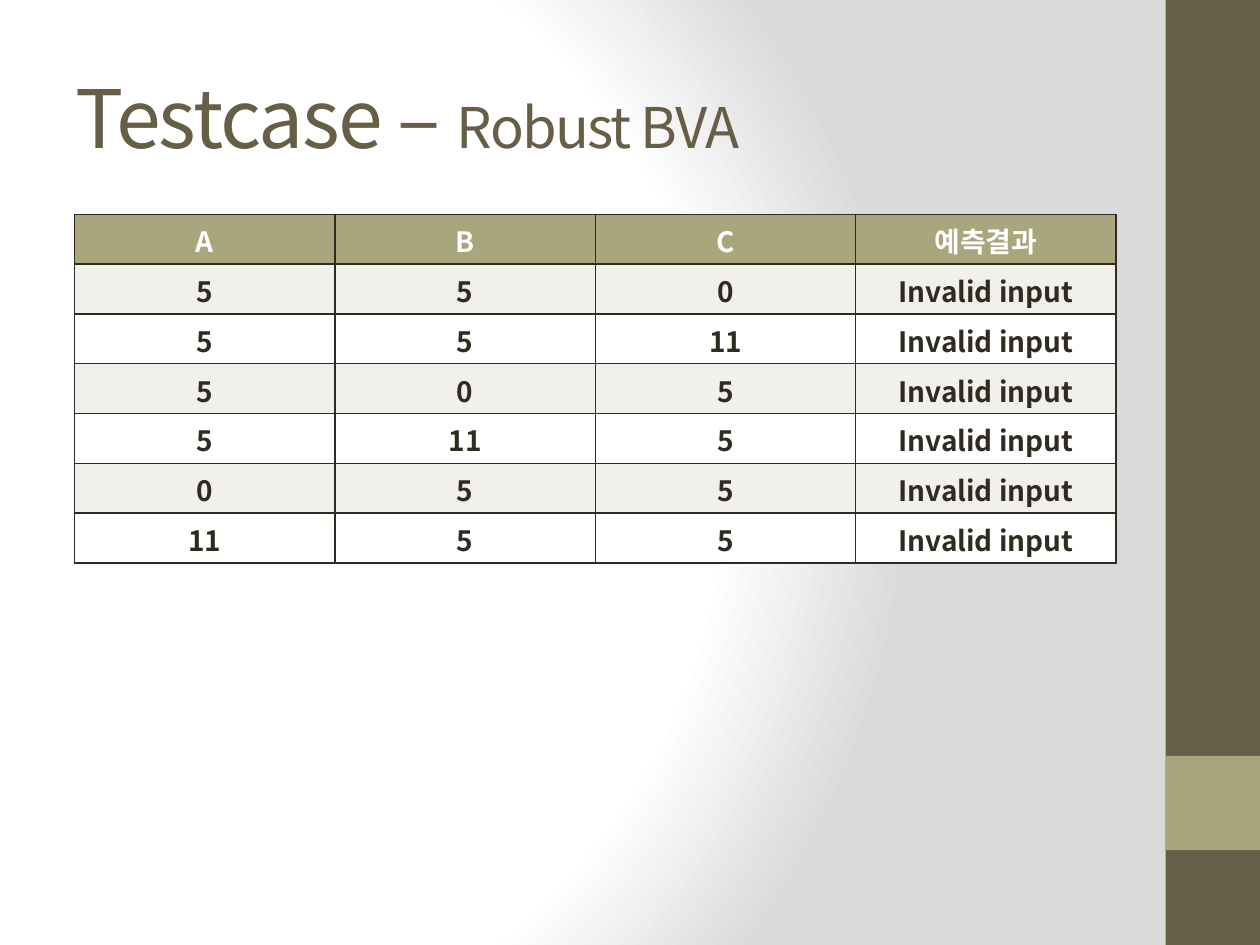
from lxml.etree import SubElement
from pptx import Presentation
from pptx.dml.color import RGBColor
from pptx.enum.shapes import MSO_SHAPE
from pptx.enum.text import MSO_ANCHOR as Anchor, MSO_AUTO_SIZE as AutoSize, PP_ALIGN as Align
from pptx.oxml import parse_xml
from pptx.oxml.ns import nsdecls, qn
from pptx.util import Cm, Pt

FONT = "Noto Sans CJK KR"
BROWN = RGBColor(0x67, 0x5E, 0x47)
OLIVE = RGBColor(0xA9, 0xA5, 0x7C)
INK = RGBColor(0x2F, 0x2B, 0x20)
BAND = RGBColor(0xF1, 0xF0, 0xEC)
WHITE = RGBColor(0xFF, 0xFF, 0xFF)
GREY = RGBColor(0xDA, 0xDA, 0xDA)

HEADINGS = ("A", "B", "C", "예측결과")
RESULT = "Invalid input"
INPUTS = (("5", "5", "0"), ("5", "5", "11"), ("5", "0", "5"),
          ("5", "11", "5"), ("0", "5", "5"), ("11", "5", "5"))

FRAME_FORMAT = {"word_wrap": True, "auto_size": AutoSize.NONE,
                "vertical_anchor": Anchor.MIDDLE}
CELL_FORMAT = {"margin_left": Cm(0.18), "margin_right": Cm(0.18),
               "margin_top": 0, "margin_bottom": 0, "vertical_anchor": Anchor.TOP}
CELL_PARAGRAPH = {"alignment": Align.CENTER, "line_spacing": 1.15}


def set_format(target, values):
    for name, value in values.items():
        setattr(target, name, value)


def add_run(paragraph, text, size, color, bold=False):
    run = paragraph.add_run()
    run.text = text
    set_format(run.font, {"name": FONT, "size": Pt(size), "bold": bold})
    run.font.color.rgb = color
    SubElement(run.font._element, qn("a:ea"), typeface=FONT)
    return run


def set_background(slide):
    """Radial gradient, white to grey, centred near the left edge."""
    fill = slide.background.fill
    fill.solid()
    stops = "".join(f'<a:gs pos="{position * 1000}"><a:srgbClr val="{color}"/></a:gs>'
                    for position, color in ((0, WHITE), (75, WHITE), (100, GREY)))
    gradient = parse_xml(
        f'<a:gradFill {nsdecls("a")} rotWithShape="1"><a:gsLst>{stops}</a:gsLst>'
        '<a:path path="circle"><a:fillToRect l="20000" t="50000" r="100000" b="50000"/>'
        '</a:path></a:gradFill>')
    properties = slide.background._cSld.bg.bgPr
    properties.replace(properties.find(qn("a:solidFill")), gradient)


def add_sidebar(slide, left, top, width, height):
    """Brown side strip with a square olive block four fifths of the way down."""
    blocks = ((top, height, BROWN), (top + int(height * 0.8), width, OLIVE))
    for block_top, block_height, color in blocks:
        block = slide.shapes.add_shape(MSO_SHAPE.RECTANGLE, left, block_top, width, block_height)
        block.shadow.inherit = False
        block.fill.solid()
        block.fill.fore_color.rgb = color
        block.line.fill.background()


def fill_title(slide, left, top, width, height):
    title = slide.shapes.title
    set_format(title, {"left": left, "top": top, "width": width, "height": height})
    set_format(title.text_frame, FRAME_FORMAT)
    paragraph = title.text_frame.paragraphs[0]
    paragraph.alignment = Align.LEFT
    for text, size in (("Testcase – ", 46), ("Robust BVA", 32)):
        run = add_run(paragraph, text, size, BROWN)
        run.font._element.set("spc", "-100")


def add_borders(cell):
    properties = cell._tc.get_or_add_tcPr()
    for index, side in enumerate("LRTB"):
        properties.insert(index, parse_xml(
            f'<a:ln{side} {nsdecls("a")} w="{Pt(1)}"><a:solidFill>'
            f'<a:srgbClr val="{INK}"/></a:solidFill></a:ln{side}>'))


def format_cell(cell, text, fill_color, text_color):
    set_format(cell, CELL_FORMAT)
    cell.fill.solid()
    cell.fill.fore_color.rgb = fill_color
    add_borders(cell)
    paragraph = cell.text_frame.paragraphs[0]
    set_format(paragraph, CELL_PARAGRAPH)
    add_run(paragraph, text, 16, text_color, bold=True)


def add_testcase_table(slide, left, top, width, height):
    rows = [HEADINGS] + [values + (RESULT,) for values in INPUTS]
    table = slide.shapes.add_table(len(rows), len(HEADINGS), left, top, width, height).table
    for column in table.columns:
        column.width = width // len(HEADINGS)
    for row_index, texts in enumerate(rows):
        table.rows[row_index].height = height // len(rows)
        if row_index == 0:
            colors = OLIVE, WHITE
        else:
            colors = (BAND if row_index % 2 else WHITE), INK
        for column_index, text in enumerate(texts):
            format_cell(table.cell(row_index, column_index), text, *colors)


def main():
    presentation = Presentation()
    set_format(presentation, {"slide_width": Cm(25.4), "slide_height": Cm(19.05)})
    slide = presentation.slides.add_slide(presentation.slide_layouts.get_by_name("Title Only"))
    set_background(slide)
    add_sidebar(slide, Cm(23.5), 0, Cm(1.9), Cm(19.05))
    add_testcase_table(slide, Cm(1.5), Cm(4.32), Cm(21), Cm(7.03))
    fill_title(slide, Cm(1.27), Cm(0.76), Cm(21.17), Cm(3.18))
    presentation.save("out.pptx")


if __name__ == "__main__":
    main()
